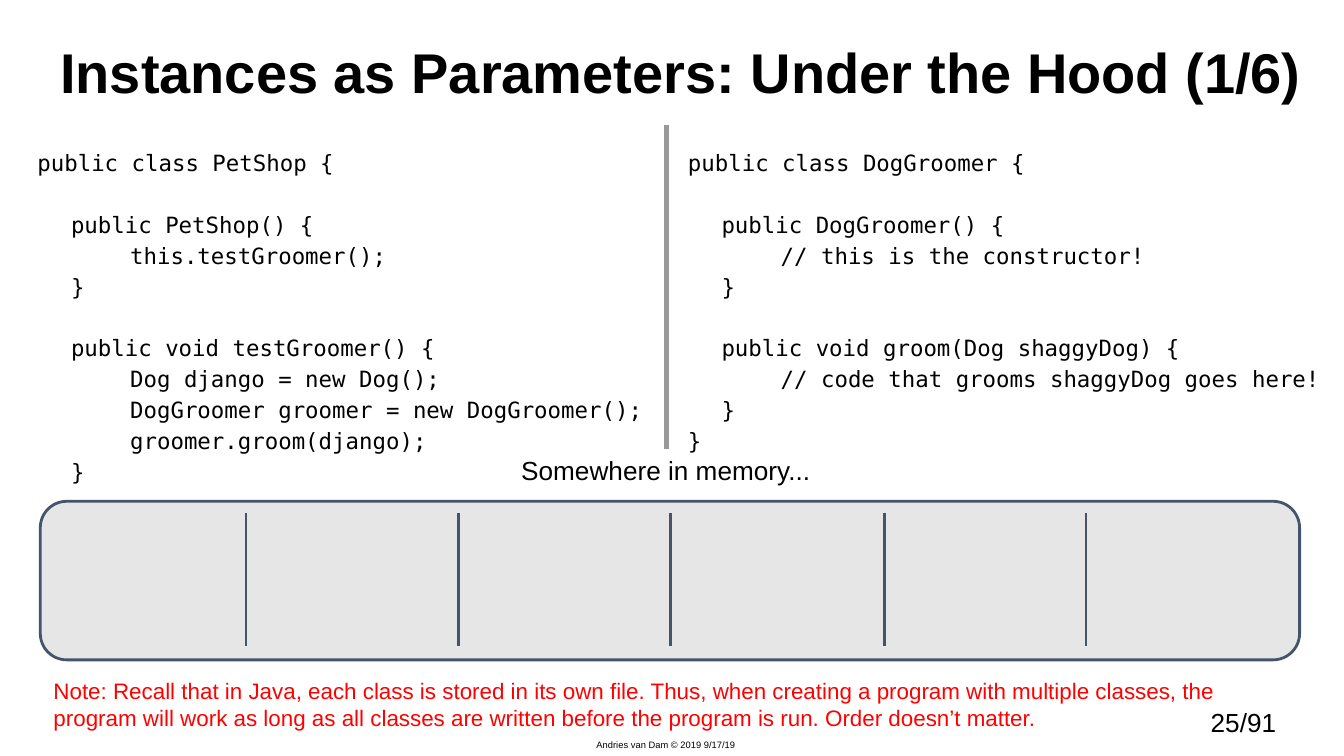
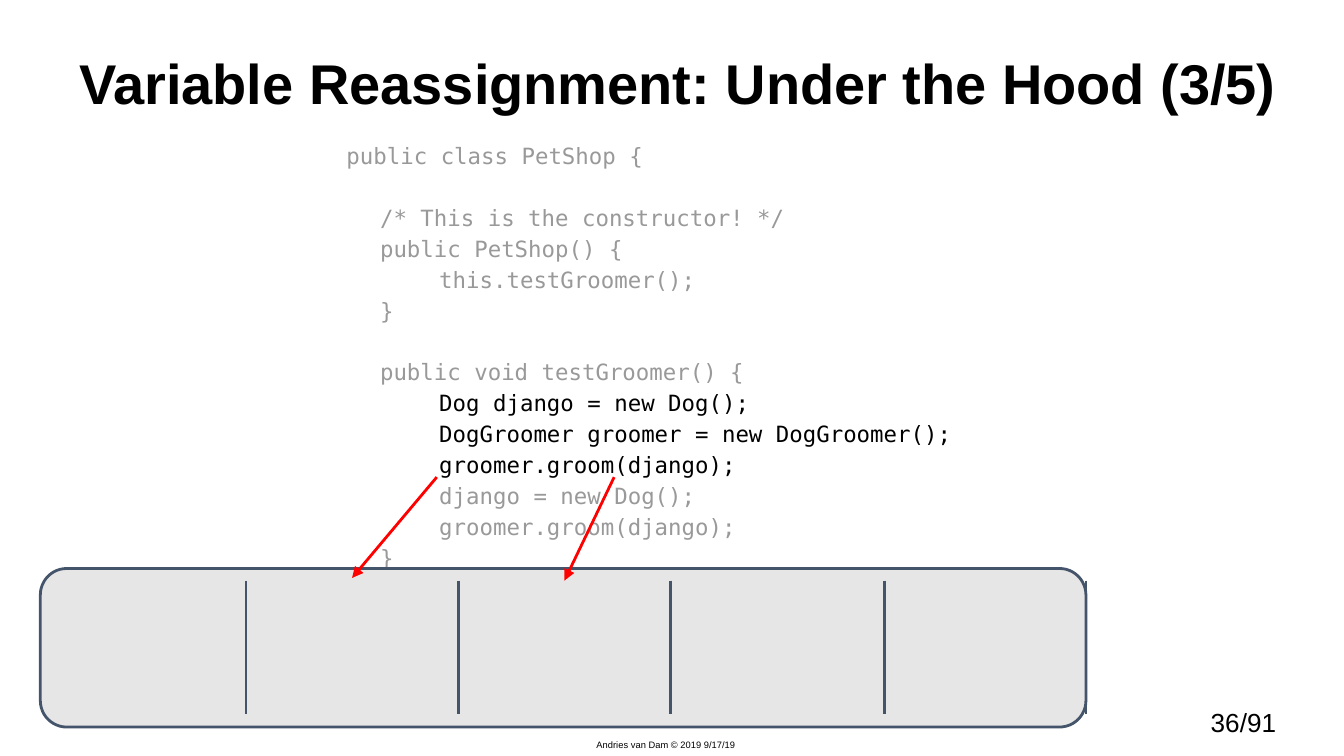
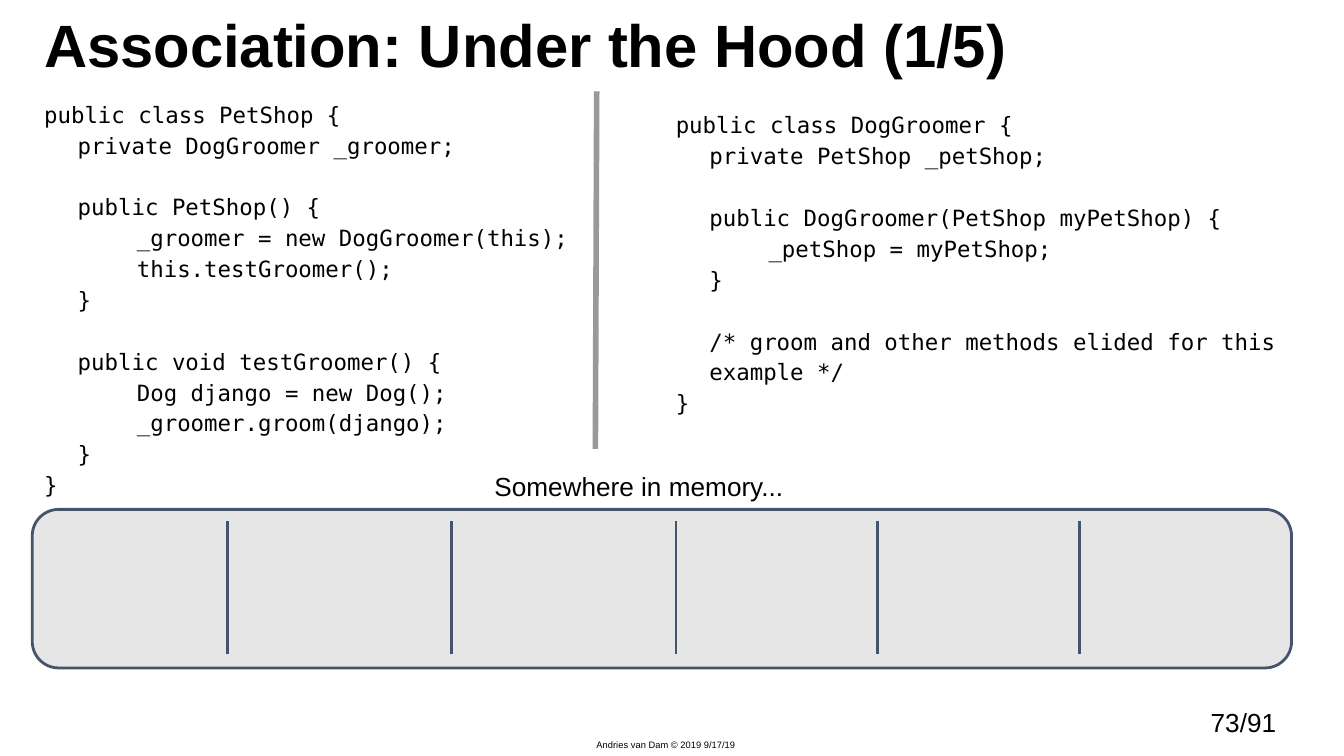
from dataclasses import dataclass
from itertools import accumulate

from lxml.etree import SubElement as Sub
from pptx import Presentation
from pptx.dml.color import RGBColor as Rgb
from pptx.enum.shapes import MSO_CONNECTOR as Link, MSO_SHAPE as Form
from pptx.enum.text import MSO_ANCHOR as Anchor
from pptx.oxml.ns import qn
from pptx.util import Inches, Pt


@dataclass(frozen=True)
class Theme:
    ink: str = "000000"
    dim: str = "999999"
    alert: str = "FF0000"
    cell: str = "E7E6E6"
    edge: str = "44546A"
    sans: str = "Arial"
    mono: str = "DejaVu Sans Mono"
    head: int = 30
    large: int = 32
    label: int = 14
    body: int = 12
    foot: int = 5
    thin: float = 1.5
    thick: float = 3
    lead: float = 1.15
    skip: float = 16.5  # height of one line of code
    steps: tuple = (0, 2.5, 6.9)  # code indents, in columns


LEFT_1 = """public class PetShop {

    public PetShop() {
        this.testGroomer();
    }

    public void testGroomer() {
        Dog django = new Dog();
        DogGroomer groomer = new DogGroomer();
        groomer.groom(django);
    }"""

RIGHT_1 = """public class DogGroomer {

    public DogGroomer() {
        // this is the constructor!
    }

    public void groom(Dog shaggyDog) {
        // code that grooms shaggyDog goes here!
    }
}"""

CODE_2 = """public class PetShop {

    /* This is the constructor! */
    public PetShop() {
        this.testGroomer();
    }

    public void testGroomer() {
        Dog django = new Dog();
        DogGroomer groomer = new DogGroomer();
        groomer.groom(django);
        django = new Dog();
        groomer.groom(django);
    }"""

LEFT_3 = """public class PetShop {
    private DogGroomer _groomer;

    public PetShop() {
        _groomer = new DogGroomer(this);
        this.testGroomer();
    }

    public void testGroomer() {
        Dog django = new Dog();
        _groomer.groom(django);
    }
}"""

RIGHT_3 = """public class DogGroomer {
    private PetShop _petShop;

    public DogGroomer(PetShop myPetShop) {
        _petShop = myPetShop;
    }

    /* groom and other methods elided for this example */
}"""

NOTE = ("Note: Recall that in Java, each class is stored in its own file. Thus, "
        "when creating a program with multiple classes, the program will work as "
        "long as all classes are written before the program is run. Order doesn’t "
        "matter.")


def put(item, **vals):
    for name, val in vals.items():
        setattr(item, name, val)


class Deck:
    """Holds the theme and current slide; lengths are in grid cells, 100 to the width."""

    def __init__(self, theme):
        self.theme = theme
        self.show = Presentation()
        wide = Inches(10)
        put(self.show, slide_width=wide, slide_height=wide * 9 // 16)
        self.unit = wide / 100
        self.slide = None

    def grid(self, *cells):
        return [round(cell * self.unit) for cell in cells]

    def page(self, num):
        self.slide = self.show.slides.add_slide(self.show.slide_layouts[6])
        self.text(f"{num}/91", (89.1, 52.1, 8.1, 5.7), self.theme.label, pad=0.5)
        self.text("Andries van Dam © 2019 9/17/19", (43.4, 54.5, 12.7, 1.9),
                  self.theme.foot, pad=0.5)

    def frame(self, box, pad=1, anchor=Anchor.TOP):
        """Add an empty text box; pad is its top and bottom inset."""
        side, rim = self.grid(1, pad)
        frame = self.slide.shapes.add_textbox(*self.grid(*box)).text_frame
        put(frame, word_wrap=True, vertical_anchor=anchor, margin_left=side,
            margin_right=side, margin_top=rim, margin_bottom=rim)
        return frame

    def span(self, para, text, size, color, face, bold=False):
        run = para.add_run()
        run.text = text
        put(run.font, size=Pt(size), name=face, bold=bold)
        run.font.color.rgb = Rgb.from_string(color)

    def text(self, text, box, size, color=None, pad=1):
        para = self.frame(box, pad).paragraphs[0]
        self.span(para, text, size, color or self.theme.ink, self.theme.sans)

    def title(self, text, box, size=None):
        para = self.frame(box, anchor=Anchor.BOTTOM).paragraphs[0]
        para.line_spacing = 0.9
        self.span(para, text, size or self.theme.head, self.theme.ink,
                  self.theme.sans, True)

    def code(self, text, box, live=None):
        """Set code line by line; with live given, lines outside it are dimmed."""
        look = self.theme
        frame = self.frame(box)
        para, gap = frame.paragraphs[0], 0
        for row, line in enumerate(text.split("\n")):
            if not line:
                gap += look.skip
                continue
            if row:
                para = frame.add_paragraph()
            bare = line.lstrip()
            level = (len(line) - len(bare)) // 4
            put(para, line_spacing=look.lead, space_before=Pt(gap))
            indent, = self.grid(look.steps[level])
            para._p.get_or_add_pPr().set("marL", str(indent))
            color = look.ink if live is None or row in live else look.dim
            self.span(para, bare, look.body, color, look.mono)
            gap = 0

    def line(self, start, end, color, width, arrow=False):
        link = self.slide.shapes.add_connector(
            Link.STRAIGHT, *self.grid(*start, *end))
        link.line.color.rgb = Rgb.from_string(color)
        link.line.width = Pt(width)
        props = link.element.spPr
        if arrow:
            Sub(props.find(qn("a:ln")), qn("a:tailEnd"), type="triangle")
        Sub(props, qn("a:effectLst"))

    def split(self, start, end):
        self.line(start, end, self.theme.dim, self.theme.thick)

    def arrow(self, start, end):
        self.line(start, end, self.theme.alert, self.theme.thin, True)

    def memory(self, left, top, wide, gaps):
        """Draw the memory band; gaps lead from its left edge to wall after wall."""
        look = self.theme
        band = self.slide.shapes.add_shape(
            Form.FLOWCHART_ALTERNATE_PROCESS, *self.grid(left, top, wide, 11.8))
        band.shadow.inherit = False
        band.fill.solid()
        band.fill.fore_color.rgb = Rgb.from_string(look.cell)
        band.line.color.rgb = Rgb.from_string(look.edge)
        band.line.width = Pt(look.thin)
        for gap in accumulate(gaps):
            wall = left + gap
            self.line((wall, top + 0.9), (wall, top + 10.8), look.edge, look.thin)

    def label(self, left, top):
        self.text("Somewhere in memory...", (left, top, 26.7, 3.6), self.theme.label)


def main():
    deck = Deck(Theme())
    look = deck.theme
    even = (15.3, 15.8, 15.8, 15.9, 15)

    deck.page(25)
    deck.title("Instances as Parameters: Under the Hood (1/6)", (3.5, 2.3, 95.2, 6.6))
    deck.code(LEFT_1, (1.8, 9.8, 48.1, 37.1))
    deck.code(RIGHT_1, (50.2, 9.8, 50.5, 25.9))
    deck.split((49.6, 9.3), (49.6, 33.4))
    deck.memory(3, 37.3, 93.7, even)
    deck.label(37.8, 32.8)
    deck.text(NOTE, (3, 49.4, 89.6, 6.1), look.body, look.alert)

    deck.page(36)
    deck.title("Variable Reassignment: Under the Hood (3/5)", (4.9, 3.1, 91.4, 6.6))
    deck.code(CODE_2, (24.8, 9.3, 48, 41), live=range(8, 11))
    deck.memory(3, 42.3, 77.8, even)
    deck.arrow((32.5, 35.5), (26.2, 43))
    deck.arrow((45.7, 35.5), (42, 43.2))

    deck.page(73)
    deck.code(LEFT_3, (2.3, 6.2, 48.1, 35.1))
    deck.code(RIGHT_3, (49.3, 7, 50.5, 25.2))
    deck.split((44.4, 6.8), (44.3, 33.4))
    deck.memory(2.4, 37.9, 93.7, (14.5, 16.7, 16.7, 15, 15))
    deck.label(35.8, 34)
    deck.title("Association: Under the Hood (1/5)", (2.3, 0.1, 90, 6.9), look.large)

    deck.show.save("out.pptx")


if __name__ == "__main__":
    main()
